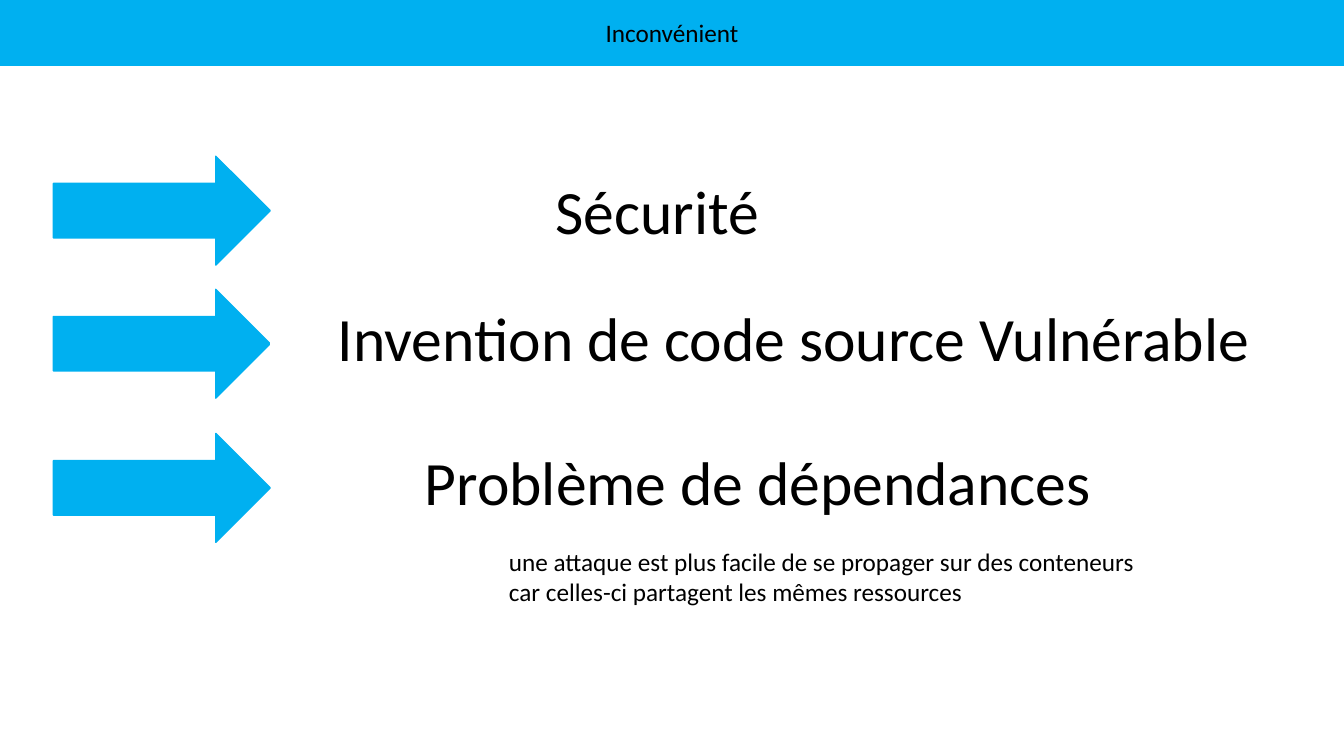
from pptx import Presentation
from pptx.dml.color import RGBColor
from pptx.enum.shapes import MSO_SHAPE
from pptx.enum.text import MSO_ANCHOR, MSO_AUTO_SIZE, PP_ALIGN
from pptx.util import Inches, Pt

BLUE = RGBColor(0x00, 0xB0, 0xF0)
WHITE = RGBColor(0xFF, 0xFF, 0xFF)
BLACK = RGBColor(0x00, 0x00, 0x00)
WIDTH, HEIGHT = 13.33, 7.5


def write(frame, text, size=18, color=BLACK, font="Calibri",
          align=PP_ALIGN.CENTER, anchor=MSO_ANCHOR.MIDDLE, fit=MSO_AUTO_SIZE.NONE):
    """Put formatted text in a frame."""
    frame.word_wrap = True
    frame.auto_size = fit
    frame.vertical_anchor = anchor
    para = frame.paragraphs[0]
    para.alignment = align
    run = para.add_run()
    run.text = text
    run.font.name = font
    run.font.size = Pt(size)
    run.font.color.rgb = color


class Page:
    """Hold the slide and its flat style."""

    def __init__(self, deck):
        """Add a title-only slide."""
        self.slide = deck.slides.add_slide(deck.slide_layouts[5])
        self.shapes = self.slide.shapes
        self.edge = Pt(1)

    def paint(self, shape, color):
        """Give a shape one colour for fill and line."""
        shape.fill.solid()
        shape.fill.fore_color.rgb = color
        shape.line.color.rgb = color
        shape.line.width = self.edge

    def title(self, text, high):
        """Turn the title into a banner across the top."""
        bar = self.shapes.title
        bar.left, bar.top = Inches(0), Inches(0)
        bar.width, bar.height = Inches(WIDTH), Inches(high)
        self.paint(bar, BLUE)
        write(bar.text_frame, text)

    def block(self, kind, color, left, top, width, high):
        """Add a flat preset shape."""
        shape = self.shapes.add_shape(
            kind, Inches(left), Inches(top), Inches(width), Inches(high))
        shape.shadow.inherit = False
        self.paint(shape, color)
        return shape

    def arrow(self, top):
        """Add a blue arrow in the left column."""
        self.block(MSO_SHAPE.RIGHT_ARROW, BLUE, 0.53, top, 2.15, 1.08)

    def label(self, text, left, top, width):
        """Add a large centred label."""
        box = self.block(MSO_SHAPE.RECTANGLE, WHITE, left, top, width, 0.95)
        write(box.text_frame, text, size=44)

    def note(self, text, left, top, width, high):
        """Add a small text box."""
        box = self.shapes.add_textbox(
            Inches(left), Inches(top), Inches(width), Inches(high))
        write(box.text_frame, text, align=PP_ALIGN.LEFT, anchor=MSO_ANCHOR.TOP,
              fit=MSO_AUTO_SIZE.SHAPE_TO_FIT_TEXT)


def main():
    """Build and save the slide."""
    deck = Presentation()
    deck.slide_width, deck.slide_height = Inches(WIDTH), Inches(HEIGHT)
    page = Page(deck)
    page.title("Inconvénient", 0.65)
    rows = [
        (1.55, "Sécurité", 3.12, 1.61, 6.8),
        (2.87, "Invention de code source Vulnérable", 2.68, 2.87, 10.39),
        (4.3, "Problème de dépendances", 3.42, 4.3, 8.2),
    ]
    for high, text, left, top, width in rows:
        page.arrow(high)
        page.label(text, left, top, width)
    page.note("une attaque est plus facile de se propager sur des conteneurs "
              "car celles-ci partagent les mêmes ressources",
              4.95, 5.37, 6.67, 0.71)
    deck.save("out.pptx")


if __name__ == "__main__":
    main()
